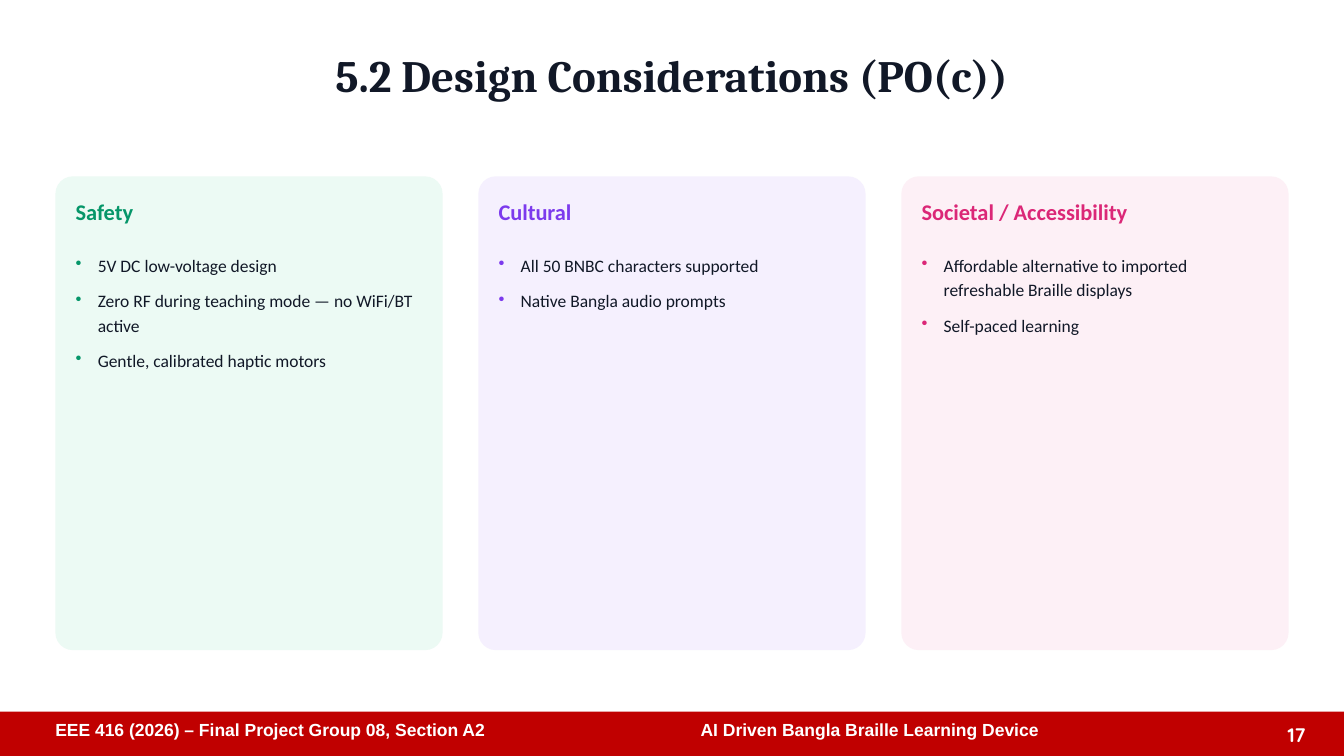
from lxml import etree
from pptx import Presentation
from pptx.dml.color import RGBColor
from pptx.enum import shapes, text
from pptx.oxml.ns import qn
from pptx.util import Inches, Pt

INK = "111827"
WHITE = "FFFFFF"
RED = "C00000"

CARD_LEFT, CARD_TOP, CARD_WIDTH, CARD_HEIGHT = 0.55, 1.75, 3.84, 4.7
CARD_STEP = 4.195
PADDING = 0.2

cards = [
    ("Safety", "059669", "ECFAF4", [
        "5V DC low-voltage design",
        "Zero RF during teaching mode — no WiFi/BT active",
        "Gentle, calibrated haptic motors",
    ]),
    ("Cultural", "7C3AED", "F5F0FE", [
        "All 50 BNBC characters supported",
        "Native Bangla audio prompts",
    ]),
    ("Societal / Accessibility", "DB2777", "FDF0F6", [
        "Affordable alternative to imported refreshable Braille displays",
        "Self-paced learning",
    ]),
]


def add_filled_shape(kind, left, top, width, height, color):
    shape = slide.shapes.add_shape(
        kind, Inches(left), Inches(top), Inches(width), Inches(height))
    shape.shadow.inherit = False
    shape.fill.solid()
    shape.fill.fore_color.rgb = RGBColor.from_string(color)
    shape.line.fill.background()
    return shape


def add_text(left, top, width, height, lines, font_name, size, color,
             bold=False, inset=True, bullet_color=None):
    """Add a wrapped text box with one paragraph per line and return it."""
    box = slide.shapes.add_textbox(
        Inches(left), Inches(top), Inches(width), Inches(height))
    frame = box.text_frame
    frame.word_wrap = True
    if not inset:
        frame.margin_left = frame.margin_right = 0
        frame.margin_top = frame.margin_bottom = 0
    frame.text = "\n".join(lines)
    for paragraph in frame.paragraphs:
        if bullet_color:
            properties = paragraph._p.get_or_add_pPr()
            properties.set("marL", str(Inches(0.22)))
            properties.set("indent", str(-Inches(0.22)))
            bullet_fill = etree.SubElement(properties, qn("a:buClr"))
            etree.SubElement(bullet_fill, qn("a:srgbClr"), val=bullet_color)
            etree.SubElement(properties, qn("a:buChar"), char="•")
            paragraph.space_after = Pt(8)
        if not inset:
            paragraph.line_spacing = 1.15
        paragraph.font.name = font_name
        paragraph.font.size = Pt(size)
        paragraph.font.bold = bold
        paragraph.font.color.rgb = RGBColor.from_string(color)
    return box


presentation = Presentation()
presentation.slide_width = Inches(13.33)
presentation.slide_height = Inches(7.5)
slide = presentation.slides.add_slide(presentation.slide_layouts[5])

# Title
title = slide.shapes.title
title.left, title.top = Inches(0.55), Inches(0.42)
title.width, title.height = Inches(12.23), Inches(1)
title.text_frame.text = "5.2 Design Considerations (PO(c))"
title.text_frame.margin_left = title.text_frame.margin_right = 0
title.text_frame.vertical_anchor = text.MSO_ANCHOR.TOP
paragraph = title.text_frame.paragraphs[0]
paragraph.alignment = text.PP_ALIGN.CENTER
paragraph.font.name = "Cambria"
paragraph.font.size = Pt(32)
paragraph.font.bold = True
paragraph.font.color.rgb = RGBColor.from_string(INK)

# Cards
for index, (heading, accent, tint, points) in enumerate(cards):
    left = CARD_LEFT + index * CARD_STEP
    card = add_filled_shape(shapes.MSO_SHAPE.ROUNDED_RECTANGLE,
                            left, CARD_TOP, CARD_WIDTH, CARD_HEIGHT, tint)
    card.adjustments[0] = 0.045
    text_left = left + PADDING
    text_width = CARD_WIDTH - 2 * PADDING
    add_text(text_left, 1.93, text_width, 0.5, [heading],
             "Calibri", 16, accent, bold=True, inset=False)
    add_text(text_left, 2.5, text_width, 3.75, points,
             "Calibri", 12.5, INK, inset=False, bullet_color=accent)

# Footer
add_filled_shape(shapes.MSO_SHAPE.RECTANGLE, 0, 7.06, 13.33, 0.45, RED)
add_text(0.45, 7.08, 6.3, 0.42,
         ["EEE 416 (2026) – Final Project Group 08, Section A2"],
         "Arial", 12.5, WHITE, bold=True)
add_text(6.85, 7.08, 5.35, 0.42, ["AI Driven Bangla Braille Learning Device"],
         "Arial", 12.5, WHITE, bold=True)
page_number = add_text(12.48, 7.11, 0.57, 0.34, ["17"],
                       "Quicksand", 14, WHITE, bold=True)
page_number.text_frame.vertical_anchor = text.MSO_ANCHOR.BOTTOM
page_number.text_frame.paragraphs[0].alignment = text.PP_ALIGN.RIGHT

presentation.save("out.pptx")
